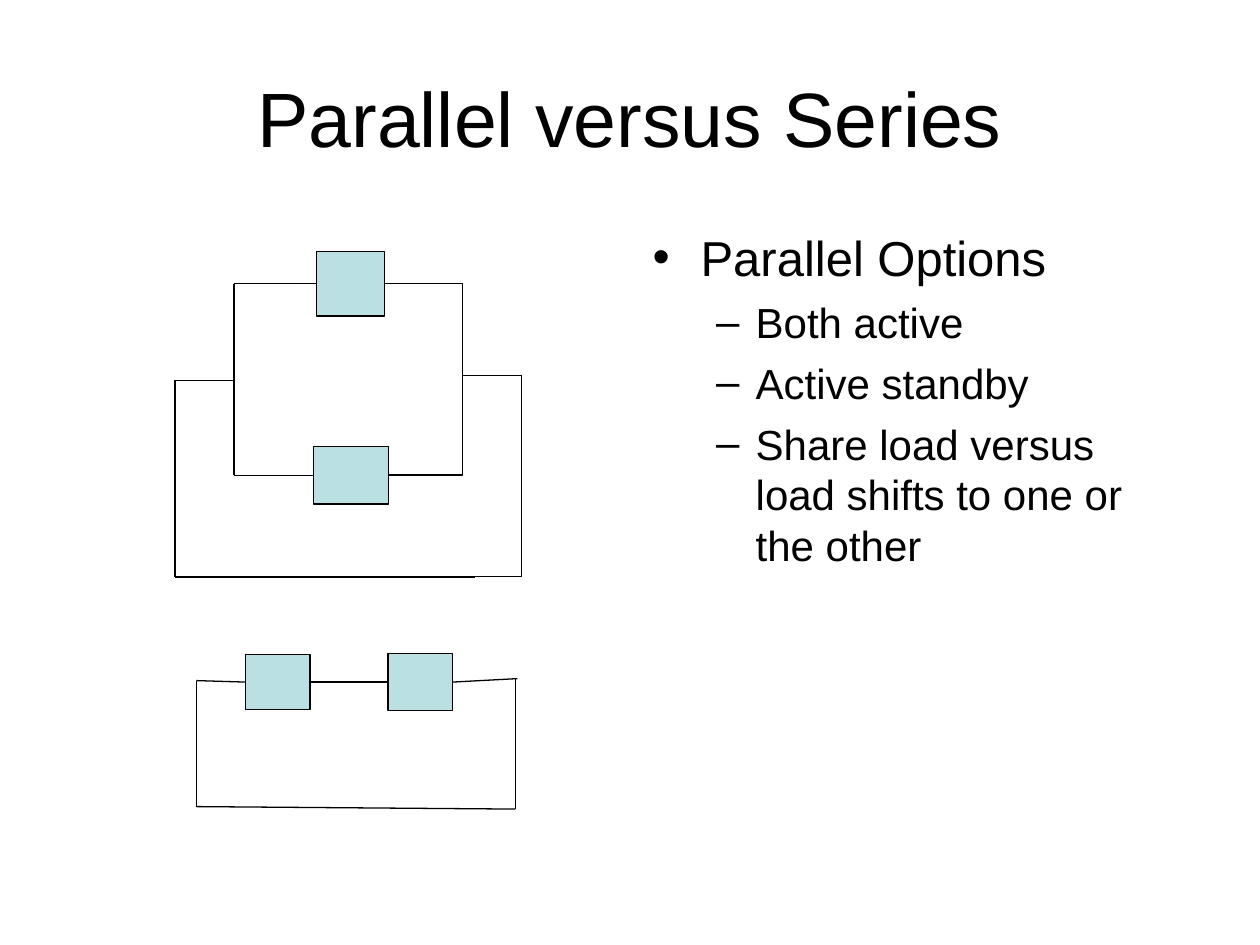
from lxml.etree import SubElement
from pptx import Presentation
from pptx.dml.color import RGBColor
from pptx.enum.shapes import MSO_CONNECTOR as Link, MSO_SHAPE as Preset
from pptx.enum.text import MSO_ANCHOR as Anchor, MSO_AUTO_SIZE as AutoSize, PP_ALIGN as Align
from pptx.oxml.ns import qn
from pptx.util import Cm, Pt

LEFT, RIGHT = 1, 3
LEVELS = [
    {"bullet": "•", "size": 28, "margin": 0.97, "hang": 0.97, "before": 0},
    {"bullet": "–", "size": 24, "margin": 2.08, "hang": 0.8, "before": 6},
]


def colour(value):
    return RGBColor.from_string(value)


def side(box, site):
    """Midpoint of a box's left or right side, in EMU."""
    x = box.left + (box.width if site == RIGHT else 0)
    return x, box.top + box.height // 2


class SlideBuilder:
    font = "Arial"
    ink = "000000"
    component_fill = "BBE0E3"
    line_width = 0.75

    def __init__(self, slide):
        self.slide = slide

    def style_run(self, run, size):
        values = {"name": self.font, "size": Pt(size)}
        for name, value in values.items():
            setattr(run.font, name, value)
        run.font.color.rgb = colour(self.ink)

    def place(self, shape, left, top, width, height):
        bounds = {"left": left, "top": top, "width": width, "height": height}
        for name, value in bounds.items():
            setattr(shape, name, Cm(value))

    def style_line(self, line):
        line.color.rgb = colour(self.ink)
        line.width = Pt(self.line_width)

    def title(self, text, bounds):
        heading = self.slide.shapes.title
        self.place(heading, *bounds)
        frame = heading.text_frame
        frame.text = text
        frame.auto_size = AutoSize.NONE
        frame.vertical_anchor = Anchor.MIDDLE
        frame.paragraphs[0].alignment = Align.CENTER
        self.style_run(frame.paragraphs[0].runs[0], 44)

    def bullets(self, items, bounds):
        body = self.slide.placeholders[1]
        self.place(body, *bounds)
        frame = body.text_frame
        frame.text = "\n".join(text for _, text in items)
        frame.auto_size = AutoSize.NONE
        for paragraph, (level, _) in zip(frame.paragraphs, items):
            look = LEVELS[level]
            paragraph.level = level
            properties = paragraph._p.get_or_add_pPr()
            properties.set("marL", str(Cm(look["margin"])))
            properties.set("indent", str(-Cm(look["hang"])))
            SubElement(properties, qn("a:buChar"), char=look["bullet"])
            paragraph.space_before = Pt(look["before"])
            self.style_run(paragraph.runs[0], look["size"])

    def component(self, left, top, width, height):
        box = self.slide.shapes.add_shape(
            Preset.RECTANGLE, Cm(left), Cm(top), Cm(width), Cm(height))
        box.shadow.inherit = False
        box.fill.solid()
        box.fill.fore_color.rgb = colour(self.component_fill)
        self.style_line(box.line)
        return box

    def wire(self, start, end, kind=Link.STRAIGHT):
        """Each end is an (x, y) in cm or a (box, side) to join."""
        joined = [not isinstance(point[0], (int, float)) for point in (start, end)]
        (x1, y1), (x2, y2) = (
            side(*point) if is_box else (Cm(point[0]), Cm(point[1]))
            for point, is_box in zip((start, end), joined))
        connector = self.slide.shapes.add_connector(kind, x1, y1, x2, y2)
        if joined[0]:
            connector.begin_connect(*start)
        if joined[1]:
            connector.end_connect(*end)
        self.style_line(connector.line)
        SubElement(connector._element.spPr, qn("a:effectLst"))
        return connector

    def corner(self, start, end):
        """Wire that runs level first, then turns once."""
        connector = self.wire(start, end, Link.ELBOW)
        connector._element.spPr.find(qn("a:prstGeom")).set("prst", "bentConnector2")


def draw_parallel(builder):
    outer_left, inner_left, inner_right, outer_right = 3.53, 4.72, 9.32, 10.52
    upper_y, lower_y, base_y = 5.72, 9.58, 11.63
    left_tap, right_tap = 7.67, 7.57
    upper_bend, lower_bend = 6.48, 8.97

    upper = builder.component(6.38, 5.07, 1.37, 1.3)
    lower = builder.component(6.32, 9, 1.52, 1.16)
    builder.wire((inner_left, upper_y), (upper, LEFT))
    builder.wire((inner_left, lower_y), (lower, LEFT))
    builder.wire((inner_left, upper_y), (inner_left, lower_y))
    builder.corner((7.75, upper_y), (inner_right, upper_bend))
    builder.corner((7.84, lower_y), (inner_right, lower_bend))
    builder.wire((inner_right, upper_bend), (inner_right, lower_bend))
    builder.wire((inner_left, left_tap), (outer_left, left_tap))
    builder.wire((outer_left, left_tap), (outer_left, base_y))
    builder.wire((outer_left, base_y), (9.58, base_y))
    builder.wire((inner_right, right_tap), (outer_right, right_tap))
    builder.corner((9.58, base_y), (outer_right, right_tap))


def draw_series(builder):
    left, right = 3.96, 10.39
    first = builder.component(4.95, 13.19, 1.3, 1.12)
    second = builder.component(7.82, 13.17, 1.3, 1.16)
    builder.wire((first, RIGHT), (second, LEFT))
    builder.wire((second, RIGHT), (10.43, 13.68))
    builder.wire((first, LEFT), (left, 13.72))
    builder.wire((left, 13.72), (left, 16.26))
    builder.wire((left, 16.26), (right, 16.31))
    builder.wire((right, 13.68), (right, 16.31))


def main():
    deck = Presentation()
    deck.slide_width, deck.slide_height = Cm(25.4), Cm(19.05)
    builder = SlideBuilder(deck.slides.add_slide(deck.slide_layouts[1]))
    draw_parallel(builder)
    draw_series(builder)
    builder.title("Parallel versus Series", (1.27, 0.76, 22.86, 3.18))
    builder.bullets([
        (0, "Parallel Options"),
        (1, "Both active"),
        (1, "Active standby"),
        (1, "Share load versus load shifts to one or the other"),
    ], (12.9, 4.45, 11.15, 12.57))
    deck.save("out.pptx")


if __name__ == "__main__":
    main()
